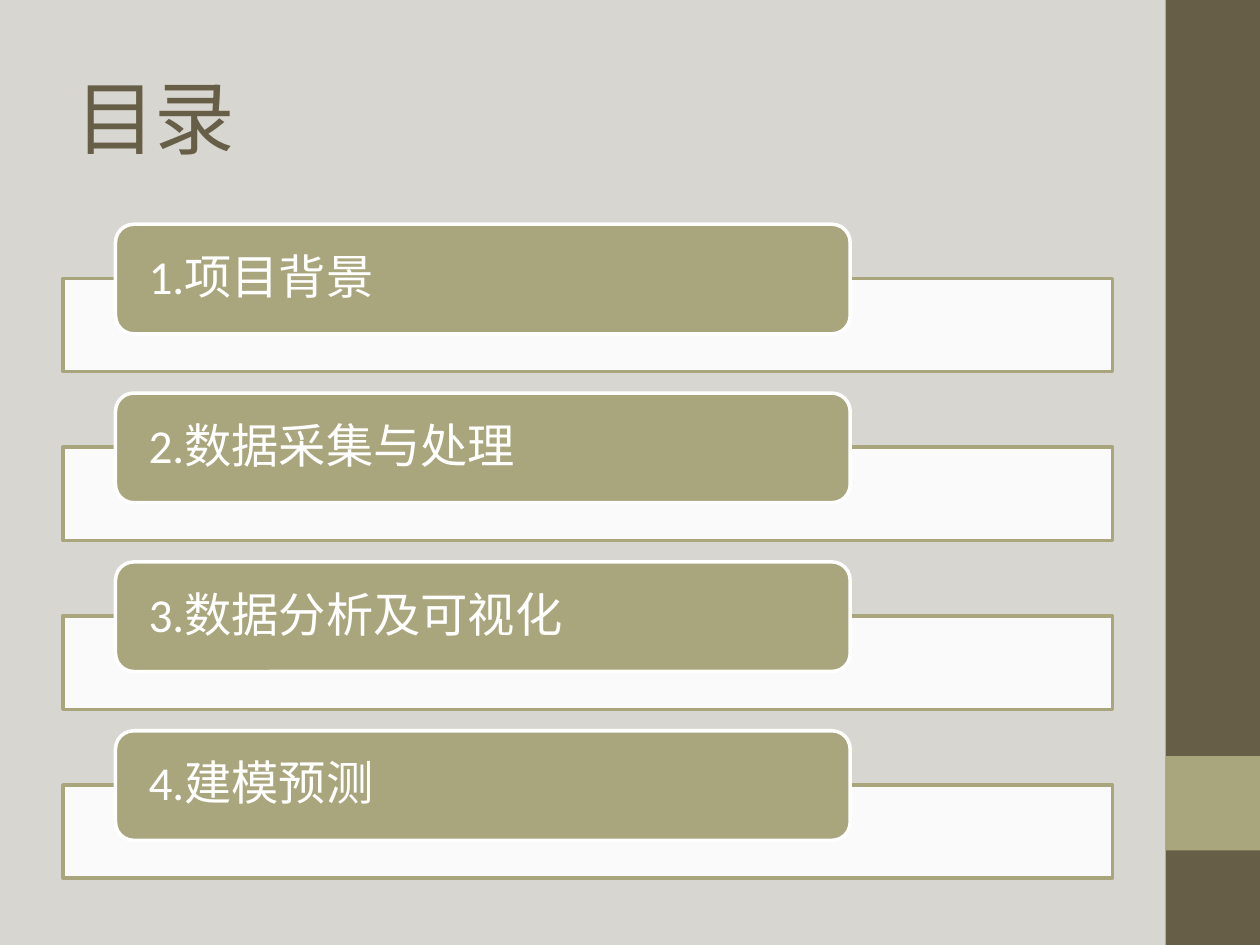
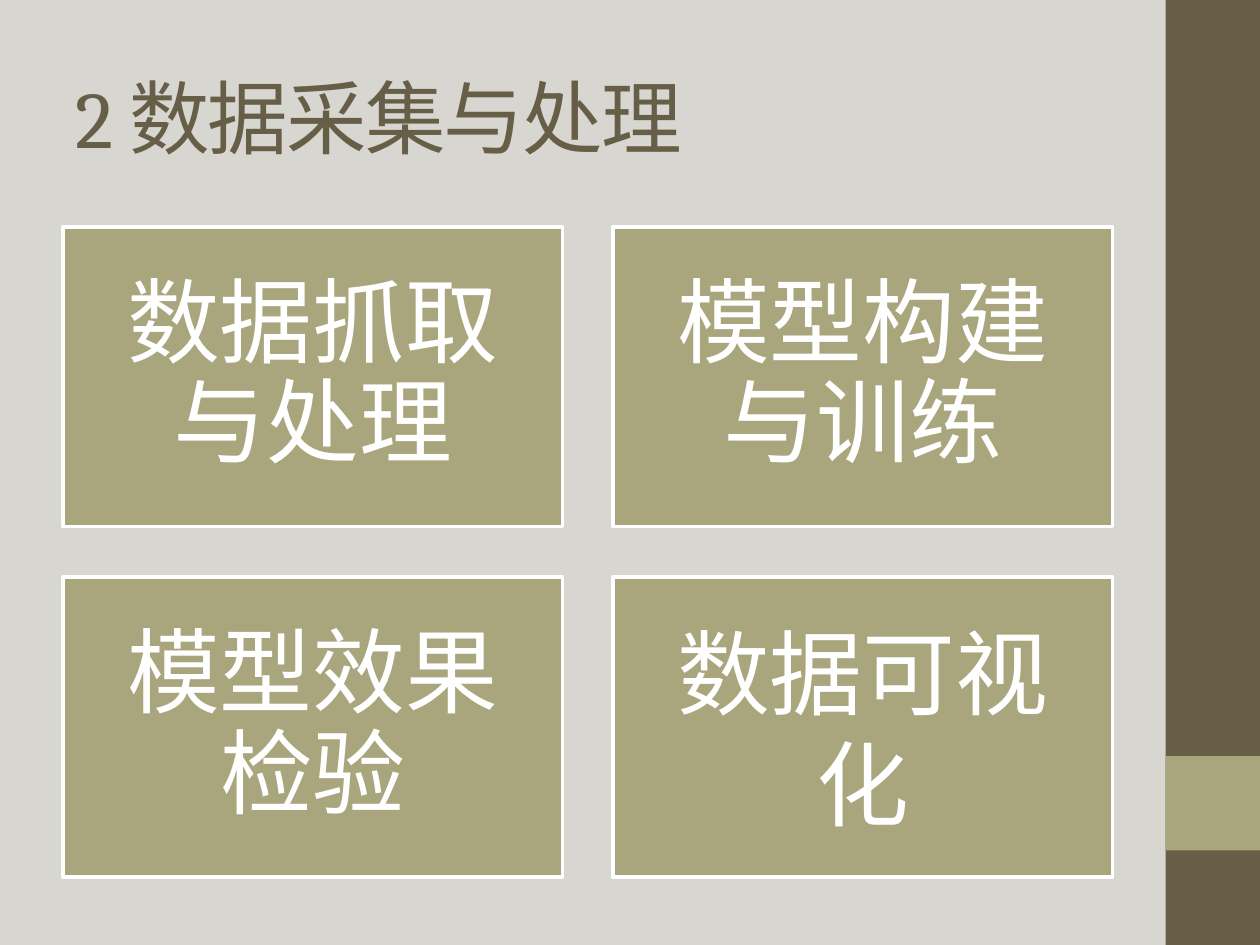
"""Build a contents slide and a four-step overview slide in one olive theme."""
from lxml import etree
from pptx import Presentation
from pptx import util as u
from pptx.dml.color import RGBColor
from pptx.enum import shapes, text
from pptx.oxml.ns import qn

COLORS = {"bg": "D8D6D0", "dark": "675E47", "olive": "A9A57C", "white": "FFFFFF"}
RECT, ROUND = shapes.MSO_SHAPE.RECTANGLE, shapes.MSO_SHAPE.ROUNDED_RECTANGLE
LEFT, CENTER = text.PP_ALIGN.LEFT, text.PP_ALIGN.CENTER

prs = Presentation()
prs.slide_width, prs.slide_height = u.Inches(10), u.Inches(7.5)
bg = prs.slide_master.background.fill
bg.solid()
bg.fore_color.rgb = RGBColor.from_string(COLORS["bg"])


def add_box(s, kind, x, y, w, h, fill, line=None):
    sp = s.shapes.add_shape(kind, *[u.Inches(v) for v in (x, y, w, h)])
    sp.shadow.inherit = False
    sp.fill.solid()
    sp.fill.fore_color.rgb = RGBColor.from_string(COLORS[fill])
    if line:
        sp.line.color.rgb = RGBColor.from_string(COLORS[line])
        sp.line.width = u.Pt(2)
    else:
        sp.line.fill.background()
    return sp


def set_text(sp, words, size, color, font="Calibri", align=LEFT, side=0.22, top=0, spacing=0.9):
    tf = sp.text_frame
    tf.word_wrap = True
    tf.vertical_anchor = text.MSO_ANCHOR.MIDDLE
    tf.margin_left = tf.margin_right = u.Inches(side)
    tf.margin_top = tf.margin_bottom = u.Inches(top)
    p = tf.paragraphs[0]
    p.text, p.alignment, p.line_spacing = words, align, spacing
    p.font.name, p.font.size = font, u.Pt(size)
    p.font.color.rgb = RGBColor.from_string(COLORS[color])
    return p


left, width = 0.5, 8.33
slides = []
for title in ("目录", "2 数据采集与处理"):
    s = prs.slides.add_slide(prs.slide_layouts[6])
    add_box(s, RECT, 9.25, 0, 0.75, 7.5, "dark")
    add_box(s, RECT, 9.25, 6, 0.75, 0.75, "olive")
    sp = s.shapes.add_textbox(*[u.Inches(v) for v in (left, 0.3, width, 1.25)])
    p = set_text(sp, title, 46, "dark", "Cambria", side=0.1, top=0.05, spacing=1.0)
    p.runs[0]._r.get_or_add_rPr().set("spc", "-100")
    slides.append(s)
contents, steps = slides

chapters = ["项目背景", "数据采集与处理", "数据分析及可视化", "建模预测"]
for i, chapter in enumerate(chapters):
    y = 1.78 + 1.34 * i
    panel = add_box(contents, RECT, left, y + 0.43, width, 0.74, "white", "olive")
    clr = panel.fill._xPr.find(qn("a:solidFill"))[0]
    etree.SubElement(clr, qn("a:alpha")).set("val", "90000")
    label = add_box(contents, ROUND, left + width / 20, y, width * 0.7, 0.87, "olive", "white")
    set_text(label, f"{i + 1}.{chapter}", 27, "white")

gap = 0.4
card_w, card_h = (width - gap) / 2, 2.38
cards = [("数据抓取与处理", 0.9), ("模型构建与训练", 0.9), ("模型效果检验", 0.9), ("数据可视化", 1.0)]
for i, (card, spacing) in enumerate(cards):
    row, col = divmod(i, 2)
    sp = add_box(steps, RECT, left + col * (card_w + gap), 1.8 + row * (card_h + gap),
                 card_w, card_h, "olive", "white")
    set_text(sp, card, 53, "white", align=CENTER, top=0.22, spacing=spacing)

prs.save("out.pptx")
